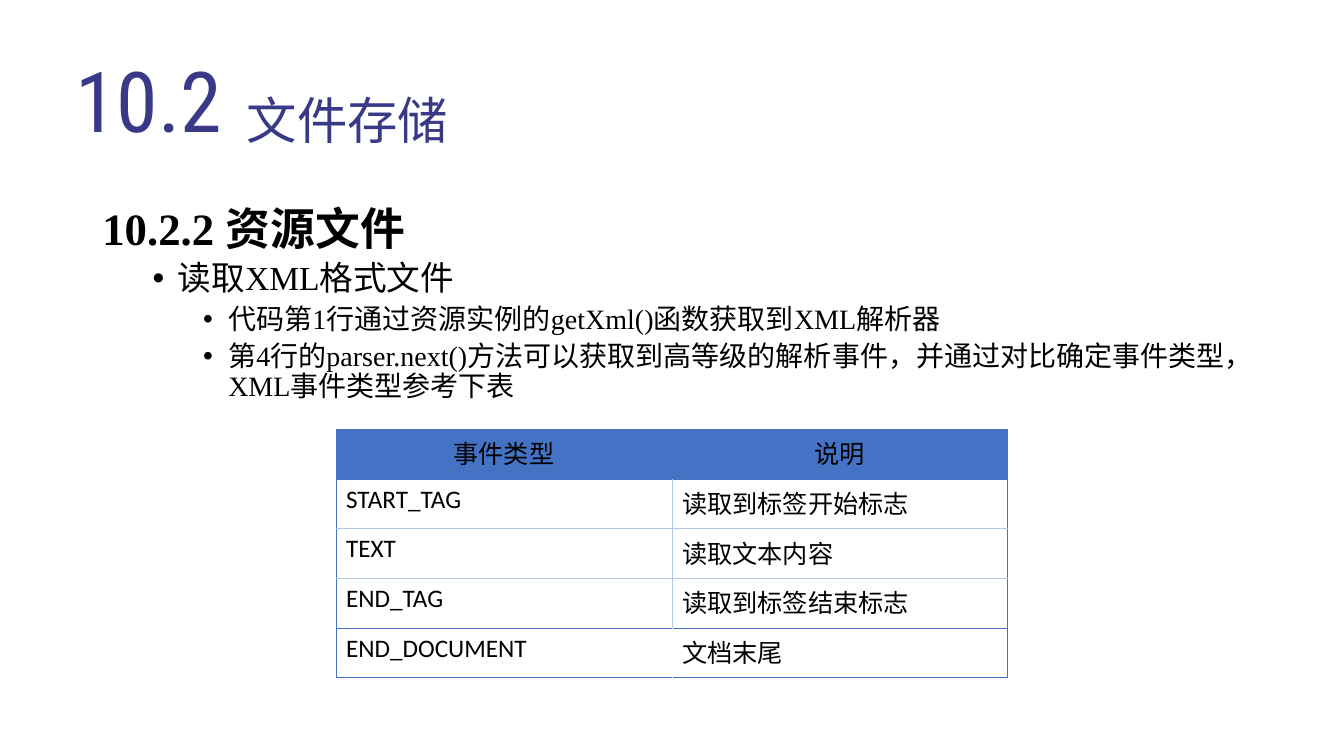
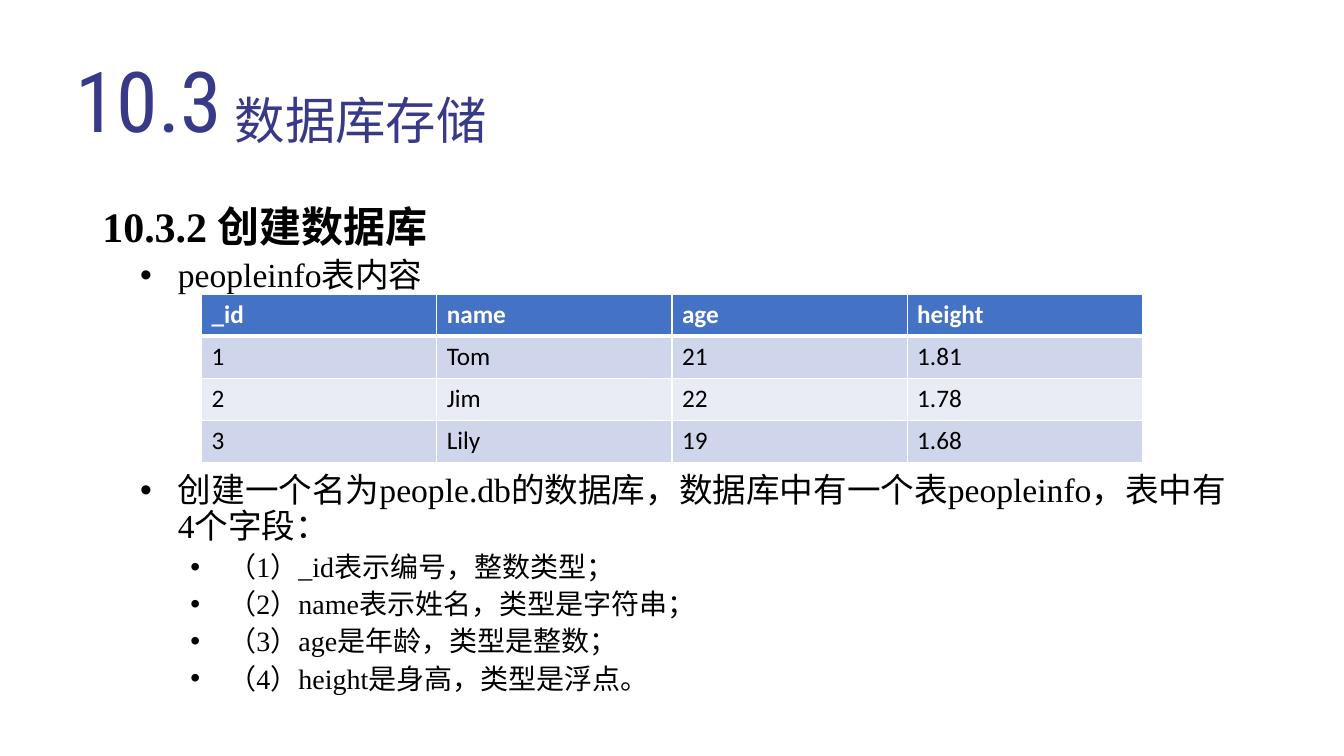
from lxml import etree
from pptx import Presentation
from pptx.dml.color import RGBColor
from pptx.enum.text import MSO_ANCHOR, PP_ALIGN
from pptx.oxml.ns import qn
from pptx.util import Pt

MIDDLE, TOP = MSO_ANCHOR.MIDDLE, MSO_ANCHOR.TOP
CENTER, LEFT = PP_ALIGN.CENTER, PP_ALIGN.LEFT

COLORS = {
    "title": "383987",
    "text": "000000",
    "white": "FFFFFF",
    "accent": "4472C4",
    "grid": "B4C7E7",
    "band_dark": "CFD5EA",
    "band_light": "E9EBF5",
}
NUMBER_FONT, TEXT_FONT, TABLE_FONT = "Roboto Condensed", "Times New Roman", "Calibri"

PAGE_SIZE = (960, 540)
NUMBER_BOX = (46.8, 31, 181.4, 80)
TITLE_BOX = (152.6, 36, 780, 104.4)
BODY_BOX = (66, 144, 828, 342.7)
LEVEL_SIZES = {1: 24, 2: 20}
LEVEL_MARGINS = {1: 54, 2: 90}


def rgb(name):
    return RGBColor.from_string(COLORS[name])


def style_runs(para, font, size, color="text", bold=False):
    for span in para.runs:
        span.font.name = font
        span.font.size = Pt(size)
        span.font.bold = bold
        span.font.color.rgb = rgb(color)


def add_text_frame(page, box, anchor=TOP):
    frame = page.shapes.add_textbox(*map(Pt, box)).text_frame
    frame.word_wrap = True
    frame.vertical_anchor = anchor
    return frame


def set_indent(para, margin, first_line):
    properties = para._p.get_or_add_pPr()
    properties.set("marL", str(Pt(margin)))
    properties.set("indent", str(Pt(first_line)))
    return properties


def add_heading(page, number, title, indent):
    """Place the chapter number and, indented beside it, the chapter title."""
    number_para = add_text_frame(page, NUMBER_BOX).paragraphs[0]
    number_para.text = number
    style_runs(number_para, NUMBER_FONT, 60, "title")

    title_para = add_text_frame(page, TITLE_BOX, MIDDLE).paragraphs[0]
    title_para.text = title
    title_para.line_spacing = 0.9
    set_indent(title_para, indent, 0)
    style_runs(title_para, TEXT_FONT, 36, "title")


def add_body(page, box, section, section_size, bullets, hanging):
    """Write a section heading, then bullets given as (level, text, space before)."""
    frame = add_text_frame(page, box)
    heading = frame.paragraphs[0]
    heading.text = section
    heading.line_spacing = 0.9
    heading.space_before = Pt(10)
    style_runs(heading, TEXT_FONT, section_size, bold=True)

    for level, text, space_before in bullets:
        para = frame.add_paragraph()
        para.text = text
        para.level = level
        para.line_spacing = 0.9
        para.space_before = Pt(space_before)
        properties = set_indent(para, LEVEL_MARGINS[level], -hanging)
        etree.SubElement(properties, qn("a:buFont")).set("typeface", "Arial")
        etree.SubElement(properties, qn("a:buChar")).set("char", "•")
        style_runs(para, TEXT_FONT, LEVEL_SIZES[level])


def set_borders(cell, borders):
    """Draw the left, right, top and bottom borders, each a (colour, width) pair."""
    properties = cell._tc.get_or_add_tcPr()
    for side, (color, width) in zip("LRTB", borders):
        line = etree.SubElement(properties, qn(f"a:ln{side}"), w=str(Pt(width)))
        fill = etree.SubElement(line, qn("a:solidFill"))
        etree.SubElement(fill, qn("a:srgbClr")).set("val", COLORS[color])


def add_table(page, box, rows, style_cell):
    """Fill an even grid; style_cell(cell, row, column) sets the look of each cell."""
    left, top, width, height = box
    column_count = len(rows[0])
    table = page.shapes.add_table(len(rows), column_count, *map(Pt, box)).table
    table.first_row = table.horz_banding = False
    for column in table.columns:
        column.width = Pt(width / column_count)
    for row_index, values in enumerate(rows):
        table.rows[row_index].height = Pt(height / len(rows))
        for column_index, value in enumerate(values):
            cell = table.cell(row_index, column_index)
            cell.text = value
            style_cell(cell, row_index, column_index)


def fill_cell(cell, color):
    cell.fill.solid()
    cell.fill.fore_color.rgb = rgb(color)


def add_event_table(page, box, rows):
    last = len(rows) - 1

    def style_cell(cell, row, column):
        inner = "accent" if row == 0 else "white" if row == last else "grid"
        left, right = ("accent", inner) if column == 0 else (inner, "accent")
        top = "accent" if row in (0, 1, last) else "grid"
        bottom = "accent" if row in (0, last - 1, last) else "grid"
        set_borders(cell, [(color, 0.75) for color in (left, right, top, bottom)])
        fill_cell(cell, "accent" if row == 0 else "white")
        para = cell.text_frame.paragraphs[0]
        para.alignment = CENTER if row == 0 else LEFT
        para.space_before = Pt(3.6)
        style_runs(para, TABLE_FONT, 18)

    add_table(page, box, rows, style_cell)


def add_people_table(page, box, rows):
    def style_cell(cell, row, column):
        header = row == 0
        widths = (1, 1, 3 if row == 1 else 1, 3 if header else 1)
        set_borders(cell, [("white", width) for width in widths])
        band = "band_dark" if row % 2 else "band_light"
        fill_cell(cell, "accent" if header else band)
        style_runs(cell.text_frame.paragraphs[0], TABLE_FONT, 18,
                   "white" if header else "text", header)

    add_table(page, box, rows, style_cell)


def build_resource_page(page):
    add_heading(page, "10.2", "文件存储", 16.5)
    add_body(page, BODY_BOX, "10.2.2 资源文件", 32, [
        (1, "读取XML格式文件", 5),
        (2, "代码第1行通过资源实例的getXml()函数获取到XML解析器", 5),
        (2, "第4行的parser.next()方法可以获取到高等级的解析事件，"
            "并通过对比确定事件类型，XML事件类型参考下表", 5),
    ], hanging=18)
    add_event_table(page, (240, 306.8, 480, 177.5), [
        ("事件类型", "说明"),
        ("START_TAG", "读取到标签开始标志"),
        ("TEXT", "读取文本内容"),
        ("END_TAG", "读取到标签结束标志"),
        ("END_DOCUMENT", "文档末尾"),
    ])


def build_database_page(page):
    add_heading(page, "10.3", "数据库存储", 8)
    add_body(page, BODY_BOX, "10.3.2 创建数据库", 30, [
        (1, "peopleinfo表内容", 5),
        (1, "创建一个名为people.db的数据库，数据库中有一个表peopleinfo，"
            "表中有4个字段：", 127.5),
        (2, "（1）_id表示编号，整数类型；", 5),
        (2, "（2）name表示姓名，类型是字符串；", 5),
        (2, "（3）age是年龄，类型是整数；", 5),
        (2, "（4）height是身高，类型是浮点。", 5),
    ], hanging=27)
    add_people_table(page, (144, 210.2, 672, 120), [
        ("_id", "name", "age", "height"),
        ("1", "Tom", "21", "1.81"),
        ("2", "Jim", "22", "1.78"),
        ("3", "Lily", "19", "1.68"),
    ])


def main():
    deck = Presentation()
    deck.slide_width, deck.slide_height = map(Pt, PAGE_SIZE)
    blank = deck.slide_layouts[6]
    for build_page in (build_resource_page, build_database_page):
        build_page(deck.slides.add_slide(blank))
    deck.save("out.pptx")


if __name__ == "__main__":
    main()
